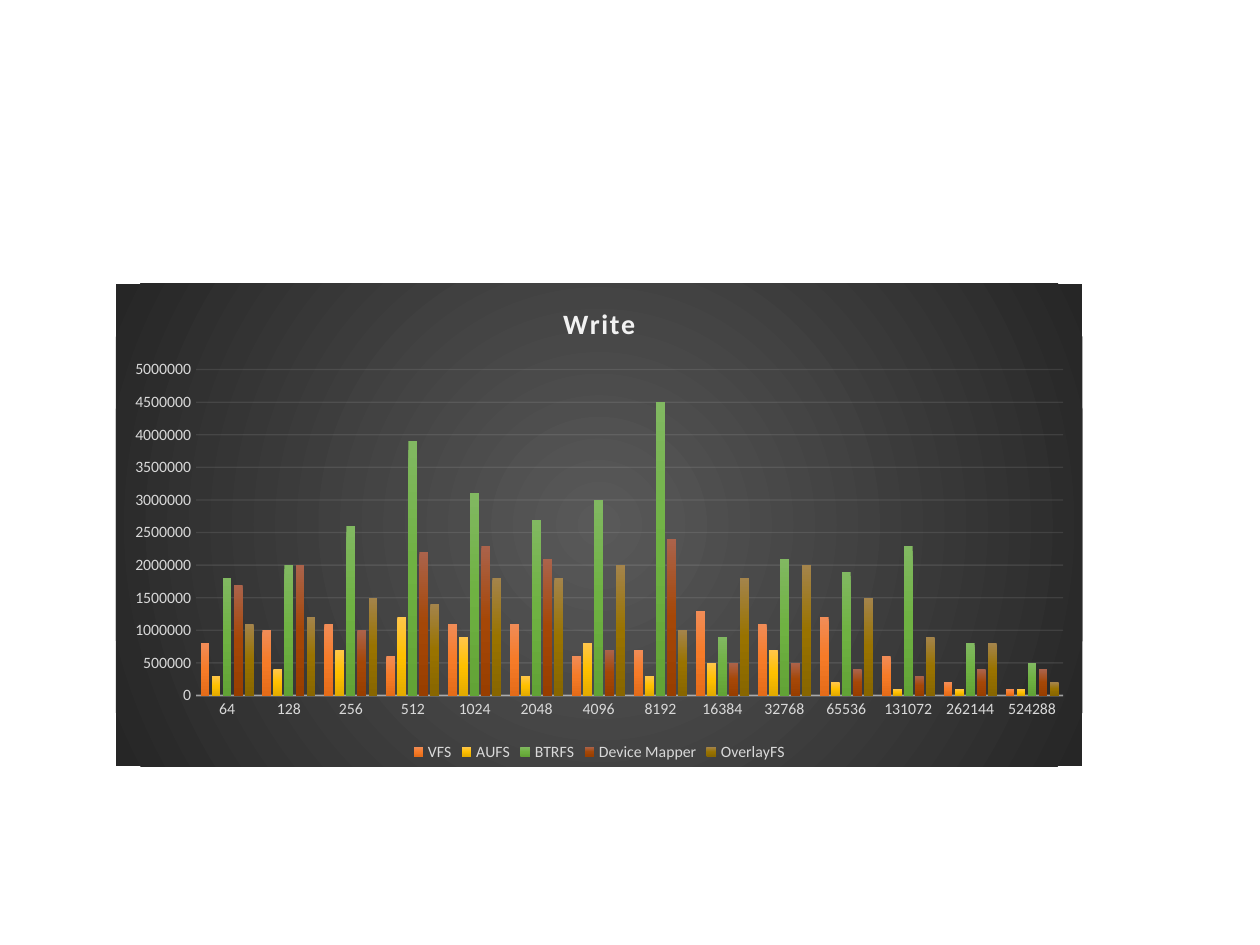
from lxml.etree import SubElement
from pptx import Presentation
from pptx.chart.data import CategoryChartData
from pptx.dml.color import RGBColor
from pptx.enum.chart import XL_CHART_TYPE, XL_LEGEND_POSITION, XL_TICK_MARK
from pptx.oxml import parse_xml
from pptx.oxml.ns import nsdecls, qn
from pptx.util import Inches, Pt

FONT = "Calibri"
COLORS = {
    "title": "F2F2F2",
    "label": "D9D9D9",
    "line": "F2F2F2",
    "center": "595959",
    "edge": "262626",
}
BLOCK_SIZES = [2 ** power for power in range(6, 20)]
UNIT = 100000
# File system: (gradient colours, write speeds in units)
SERIES = {
    "VFS": (["F18C57", "F67B28", "E56C19"],
            [8, 10, 11, 6, 11, 11, 6, 7, 13, 11, 12, 6, 2, 1]),
    "AUFS": (["FFC64B", "FFC000", "E3AB00"],
             [3, 4, 7, 12, 9, 3, 8, 3, 5, 7, 2, 1, 1, 1]),
    "BTRFS": (["81B861", "6FB242", "62A336"],
              [18, 20, 26, 39, 31, 27, 30, 45, 9, 21, 19, 23, 8, 5]),
    "Device Mapper": (["AB634B", "A54707", "983E00"],
                      [17, 20, 10, 22, 23, 21, 7, 24, 5, 5, 4, 3, 4, 4]),
    "OverlayFS": (["A4844B", "997300", "886600"],
                  [11, 12, 15, 14, 18, 18, 20, 10, 18, 20, 15, 9, 8, 2]),
}


def gradient_fill(colors, direction):
    """Return a gradient fill with evenly spaced stops."""
    step = 100000 // (len(colors) - 1)
    stops = "".join(
        f'<a:gs pos="{index * step}"><a:srgbClr val="{color}"/></a:gs>'
        for index, color in enumerate(colors))
    return parse_xml(f'<a:gradFill {nsdecls("a")} rotWithShape="1">'
                     f"<a:gsLst>{stops}</a:gsLst>{direction}</a:gradFill>")


def style_font(font, size, color):
    font.name = FONT
    font.size = Pt(size)
    font.color.rgb = RGBColor.from_string(color)


def style_line(line, width, opacity):
    line.width = Pt(width)
    line.color.rgb = RGBColor.from_string(COLORS["line"])
    color = next(line._ln.iter(qn("a:srgbClr")))
    SubElement(color, qn("a:alpha")).set("val", str(opacity * 1000))


def style_axis(axis):
    axis.major_tick_mark = XL_TICK_MARK.NONE
    axis.minor_tick_mark = XL_TICK_MARK.NONE
    style_font(axis.tick_labels.font, 9, COLORS["label"])


def add_write_chart(slide):
    data = CategoryChartData(number_format="General")
    data.categories = [str(size) for size in BLOCK_SIZES]
    for name, (_, speeds) in SERIES.items():
        data.add_series(name, [speed * UNIT for speed in speeds])
    frame = slide.shapes.add_chart(
        XL_CHART_TYPE.COLUMN_CLUSTERED,
        Inches(0.92), Inches(2.25), Inches(7.67), Inches(3.83), data)
    chart = frame.chart
    style_font(chart.font, 10, "000000")
    return chart


def style_background(chart):
    properties = parse_xml(f'<c:spPr {nsdecls("c", "a")}><a:ln><a:noFill/></a:ln></c:spPr>')
    properties.insert(0, gradient_fill(
        [COLORS["center"], COLORS["edge"]],
        '<a:path path="circle">'
        '<a:fillToRect l="50000" t="50000" r="50000" b="50000"/></a:path>'))
    chart._chartSpace.find(qn("c:chart")).addnext(properties)


def style_title(chart, text):
    chart.has_title = True
    chart.chart_title.include_in_layout = False
    paragraph = chart.chart_title.text_frame.paragraphs[0]
    paragraph.text = text
    run = paragraph.runs[0]
    style_font(run.font, 16, COLORS["title"])
    run.font.bold = True
    run.font._element.set("spc", "100")


def style_axes(chart):
    style_axis(chart.category_axis)
    style_line(chart.category_axis.format.line, 1, 54)
    value_axis = chart.value_axis
    style_axis(value_axis)
    value_axis.minimum_scale = 0
    value_axis.maximum_scale = 5000000
    value_axis.major_unit = 500000
    value_axis.format.line.fill.background()
    value_axis.has_major_gridlines = True
    style_line(value_axis.major_gridlines.format.line, 0.75, 10)


def style_columns(chart):
    plot = chart.plots[0]
    plot.gap_width = 100
    plot.overlap = -24
    plot.vary_by_categories = False
    for series in plot.series:
        colors, _ = SERIES[series.name]
        series.invert_if_negative = False
        series._element.get_or_add_spPr().insert(
            0, gradient_fill(colors, '<a:lin ang="5400000" scaled="0"/>'))


def style_legend(chart):
    chart.has_legend = True
    chart.legend.position = XL_LEGEND_POSITION.BOTTOM
    chart.legend.include_in_layout = False
    style_font(chart.legend.font, 9, COLORS["label"])


def main():
    presentation = Presentation()
    presentation.slide_width = Inches(10)
    presentation.slide_height = Inches(7.5)
    slide = presentation.slides.add_slide(presentation.slide_layouts[6])

    # Write speed by block size
    chart = add_write_chart(slide)
    style_background(chart)
    style_title(chart, "Write")
    style_axes(chart)
    style_columns(chart)
    style_legend(chart)

    presentation.save("out.pptx")


if __name__ == "__main__":
    main()
